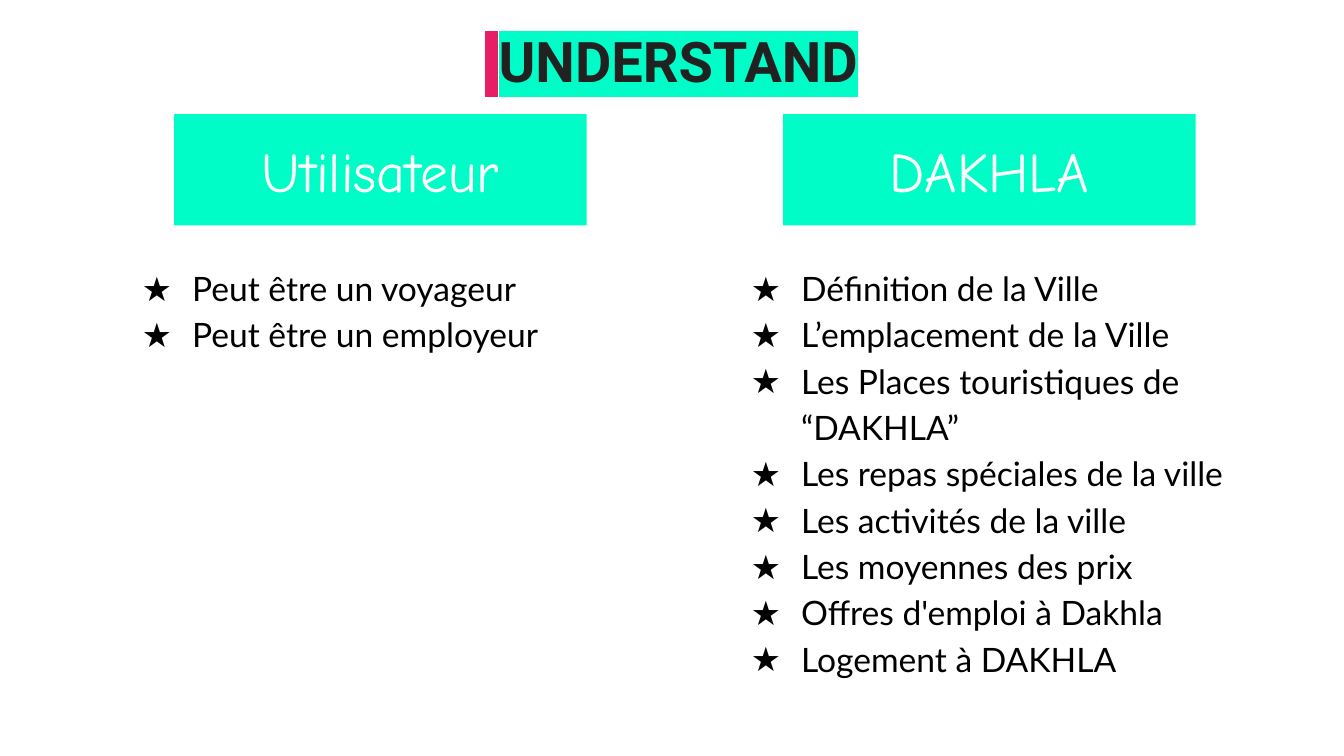
from lxml import etree
from pptx import Presentation
from pptx.dml.color import RGBColor
from pptx.enum.shapes import MSO_SHAPE
from pptx.enum.text import MSO_ANCHOR, MSO_AUTO_SIZE, PP_ALIGN
from pptx.oxml.ns import qn
from pptx.util import Cm, Pt

RECTANGLE = MSO_SHAPE.RECTANGLE
TOP, MIDDLE, BOTTOM = MSO_ANCHOR.TOP, MSO_ANCHOR.MIDDLE, MSO_ANCHOR.BOTTOM
CENTER, LEFT = PP_ALIGN.CENTER, PP_ALIGN.LEFT
NO_AUTOFIT = MSO_AUTO_SIZE.NONE

COLORS = {
    "background": "FFFFFF",
    "mint": "00FDC8",
    "pink": "E91D63",
    "title": "212121",
    "banner_text": "FFFFFF",
    "text": "000000",
}
TWO_CONTENT_LAYOUT = 3

USER_ITEMS = ["Peut être un voyageur", "Peut être un employeur"]
CITY_ITEMS = [
    "Définition de la Ville",
    "L’emplacement de la Ville",
    "Les Places touristiques de “DAKHLA”",
    "Les repas spéciales de la ville",
    "Les activités de la ville",
    "Les moyennes des prix",
    "Offres d'emploi à Dakhla",
    "Logement à DAKHLA",
]


def rgb(name):
    return RGBColor.from_string(COLORS[name])


def place(shape, box):
    shape.left, shape.top, shape.width, shape.height = (Cm(value) for value in box)


def prepare_frame(shape, anchor):
    frame = shape.text_frame
    frame.word_wrap = True
    frame.auto_size = NO_AUTOFIT
    frame.vertical_anchor = anchor
    frame.margin_left = frame.margin_right = Cm(0.25)
    frame.margin_top = frame.margin_bottom = Cm(0.25)
    return frame


def add_run(paragraph, text, font_name, size, color, bold=False, highlight=None):
    run = paragraph.add_run()
    run.text = text
    font = run.font
    font.size, font.bold = Pt(size), bold
    font.color.rgb = rgb(color)
    if highlight:
        # The highlight must follow the fill and precede the typeface
        marker = etree.SubElement(run._r.get_or_add_rPr(), qn("a:highlight"))
        etree.SubElement(marker, qn("a:srgbClr"), val=COLORS[highlight])
    font.name = font_name


def add_star(paragraph):
    properties = paragraph._p.get_or_add_pPr()
    properties.set("marL", str(Cm(1.27)))
    properties.set("indent", str(Cm(-0.95)))
    bullet_color = etree.SubElement(properties, qn("a:buClr"))
    etree.SubElement(bullet_color, qn("a:srgbClr"), val=COLORS["text"])
    etree.SubElement(properties, qn("a:buFont"), typeface="Lato")
    etree.SubElement(properties, qn("a:buChar"), char="★")


def fill_title(title, box):
    place(title, box)
    paragraph = prepare_frame(title, BOTTOM).paragraphs[0]
    paragraph.alignment = CENTER
    for text, highlight in ((" ", "pink"), ("UNDERSTAND", "mint")):
        add_run(paragraph, text, "Roboto", 30, "title", True, highlight)


def add_banner(slide, text, box):
    banner = slide.shapes.add_shape(RECTANGLE, *(Cm(value) for value in box))
    banner.shadow.inherit = False
    banner.fill.solid()
    banner.fill.fore_color.rgb = rgb("mint")
    banner.line.fill.background()
    paragraph = prepare_frame(banner, MIDDLE).paragraphs[0]
    paragraph.alignment = CENTER
    add_run(paragraph, text, "Comic Neue", 30, "banner_text")


def fill_list(body, items, box):
    place(body, box)
    frame = prepare_frame(body, TOP)
    for index, item in enumerate(items):
        paragraph = frame.add_paragraph() if index else frame.paragraphs[0]
        add_star(paragraph)
        paragraph.alignment = LEFT
        paragraph.line_spacing = 1.15
        paragraph.space_before = paragraph.space_after = Pt(0)
        add_run(paragraph, item, "Lato", 18, "text")


def build_column(slide, body, heading, items, box):
    """Banner inset over a starred list that fills the rest of the box."""
    left, top, width, height = box
    add_banner(slide, heading, (left + 1.18, top, 7.8, 2.1))
    fill_list(body, items, (left, top + 2.54, width, height - 2.54))


def main():
    presentation = Presentation()
    presentation.slide_width, presentation.slide_height = Cm(25.4), Cm(14.29)
    slide = presentation.slides.add_slide(presentation.slide_layouts[TWO_CONTENT_LAYOUT])
    slide.background.fill.solid()
    slide.background.fill.fore_color.rgb = rgb("background")
    title, user_body, city_body = list(slide.placeholders)[:3]

    # Title
    fill_title(title, (5.24, 0, 14.9, 2.03))

    # Two columns
    build_column(slide, user_body, "Utilisateur", USER_ITEMS, (2.11, 2.16, 10.16, 10.74))
    build_column(slide, city_body, "DAKHLA", CITY_ITEMS, (13.62, 2.16, 11.4, 11.91))

    presentation.save("out.pptx")


if __name__ == "__main__":
    main()
